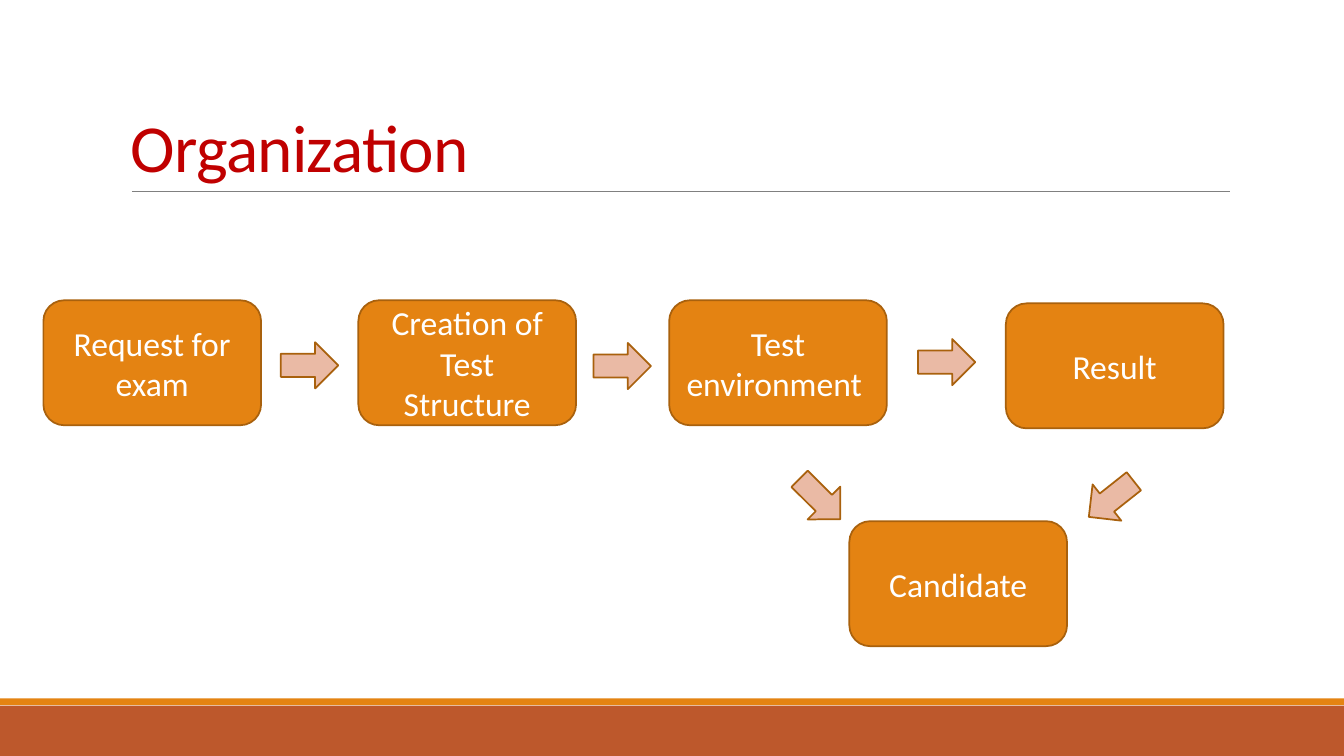
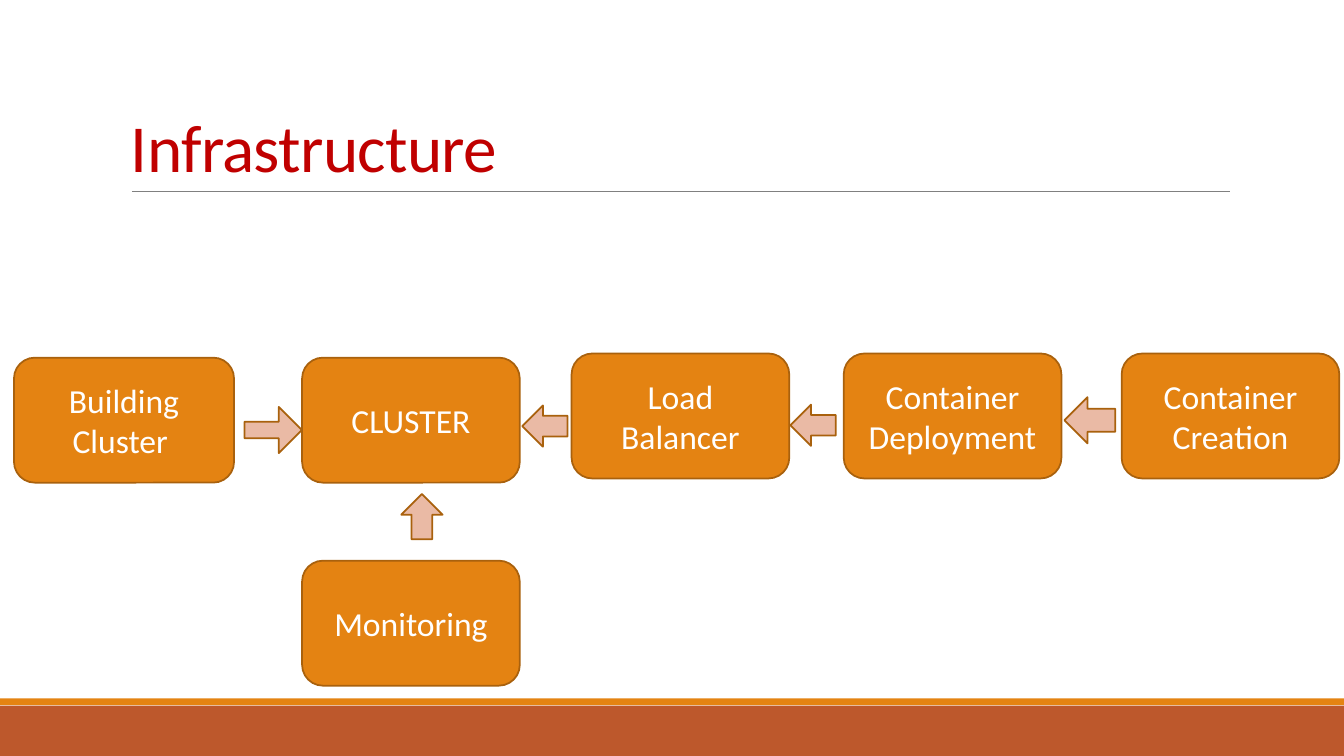
from lxml.etree import SubElement
from pptx import Presentation
from pptx.dml.color import RGBColor
from pptx.enum.shapes import MSO_CONNECTOR as Connector, MSO_SHAPE as Shape
from pptx.enum.text import MSO_ANCHOR as Anchor, PP_ALIGN as Align
from pptx.oxml.ns import qn
from pptx.util import Pt

SLIDE_W, SLIDE_H = 960, 540
BOX_W, BOX_H = 155.5, 89.3
ARROW = (41, 33)
SMALL_ARROW = (32.4, 29.5)
LEFT, UP = 180, 270


def rgb(code):
    return RGBColor.from_string(code)


class Deck:
    """The shared style and the slide being drawn."""
    font = "Calibri"
    title_red, rule_grey, white = "C00000", "808080", "FFFFFF"
    orange, rust, outline, arrow_fill = "E48312", "BD582C", "A9610D", "EABAA5"

    def __init__(self):
        self.prs = Presentation()
        self.prs.slide_width, self.prs.slide_height = Pt(SLIDE_W), Pt(SLIDE_H)
        self.shapes = None

    def slide(self, title):
        self.shapes = self.prs.slides.add_slide(self.prs.slide_layouts[6]).shapes
        self.shape(Shape.RECTANGLE, 0, 504, SLIDE_W, 36, self.rust)
        self.shape(Shape.RECTANGLE, 0, 498.8, SLIDE_W, 5, self.orange)
        self.rule(94.3, 878.9, 136.8)
        self.title(title)

    def shape(self, kind, left, top, width, height, fill, line=None):
        shape = self.shapes.add_shape(kind, Pt(left), Pt(top), Pt(width), Pt(height))
        shape.shadow.inherit = False
        shape.fill.solid()
        shape.fill.fore_color.rgb = rgb(fill)
        if line:
            shape.line.color.rgb = rgb(line)
            shape.line.width = Pt(1.25)
        else:
            shape.line.fill.background()
        return shape

    def rule(self, left, right, y):
        rule = self.shapes.add_connector(
            Connector.STRAIGHT, Pt(left), Pt(y), Pt(right), Pt(y))
        rule.line.color.rgb = rgb(self.rule_grey)
        rule.line.width = Pt(0.5)
        SubElement(rule._element.spPr, qn("a:effectLst"))

    def run(self, paragraph, text, size, color):
        run = paragraph.add_run()
        run.text = text
        run.font.name, run.font.size = self.font, Pt(size)
        run.font.color.rgb = rgb(color)
        return run

    def title(self, text):
        frame = self.shapes.add_textbox(Pt(86.4), Pt(22.3), Pt(792), Pt(114.5)).text_frame
        frame.word_wrap = True
        frame.vertical_anchor = Anchor.BOTTOM
        paragraph = frame.paragraphs[0]
        paragraph.line_spacing = 0.85
        run = self.run(paragraph, text, 48, self.title_red)
        run.font._element.set("spc", "-50")

    def box(self, text, left, top, width=BOX_W):
        box = self.shape(Shape.ROUNDED_RECTANGLE, left, top, width, BOX_H,
                         self.orange, self.outline)
        frame = box.text_frame
        frame.word_wrap = True
        frame.vertical_anchor = Anchor.MIDDLE
        paragraph = frame.paragraphs[0]
        paragraph.alignment = Align.CENTER
        self.run(paragraph, text, 24, self.white)

    def arrow(self, left, top, size=ARROW, angle=0):
        """Block arrow, turned clockwise from pointing right."""
        arrow = self.shape(Shape.RIGHT_ARROW, left, top, *size,
                           self.arrow_fill, self.outline)
        arrow.rotation = angle
        return arrow


def organization(deck):
    deck.slide("Organization")
    step_top, outcome_top = 214.5, 340
    deck.box("Request for exam", 31, step_top)
    deck.box("Creation of Test Structure", 256, step_top)
    deck.box("Test environment ", 478, step_top)
    deck.box("Result", 718.5, 216.7)
    deck.box("Candidate", 606.7, 372.3)
    for left, top in ((200.6, 244.5), (424, 245), (655.7, 242.2)):
        deck.arrow(left, top)
    deck.arrow(773.3, outcome_top, angle=141.6)
    deck.arrow(565.2, outcome_top, angle=44.9)


def infrastructure(deck):
    deck.slide("Infrastructure")
    container_top, cluster_top, cluster_left = 252.5, 255.5, 215.8
    deck.box("Building Cluster ", 10, cluster_top, 157.2)
    deck.box("CLUSTER", cluster_left, cluster_top)
    deck.box("Monitoring", cluster_left, 400.5)
    deck.box("Load Balancer", 408.3, container_top)
    deck.box("Container Deployment", 602.7, container_top)
    deck.box("Container Creation", 801.2, container_top)
    to_cluster = deck.arrow(174.7, 290.7)
    to_cluster.adjustments[0] = 0.36
    deck.arrow(760.3, 283.7, (36.3, 33), LEFT)
    for left, top, angle in ((564.5, 289, LEFT), (373, 289.6, LEFT), (285.2, 354.3, UP)):
        deck.arrow(left, top, SMALL_ARROW, angle)


def main():
    deck = Deck()
    organization(deck)
    infrastructure(deck)
    deck.prs.save("out.pptx")


if __name__ == "__main__":
    main()
